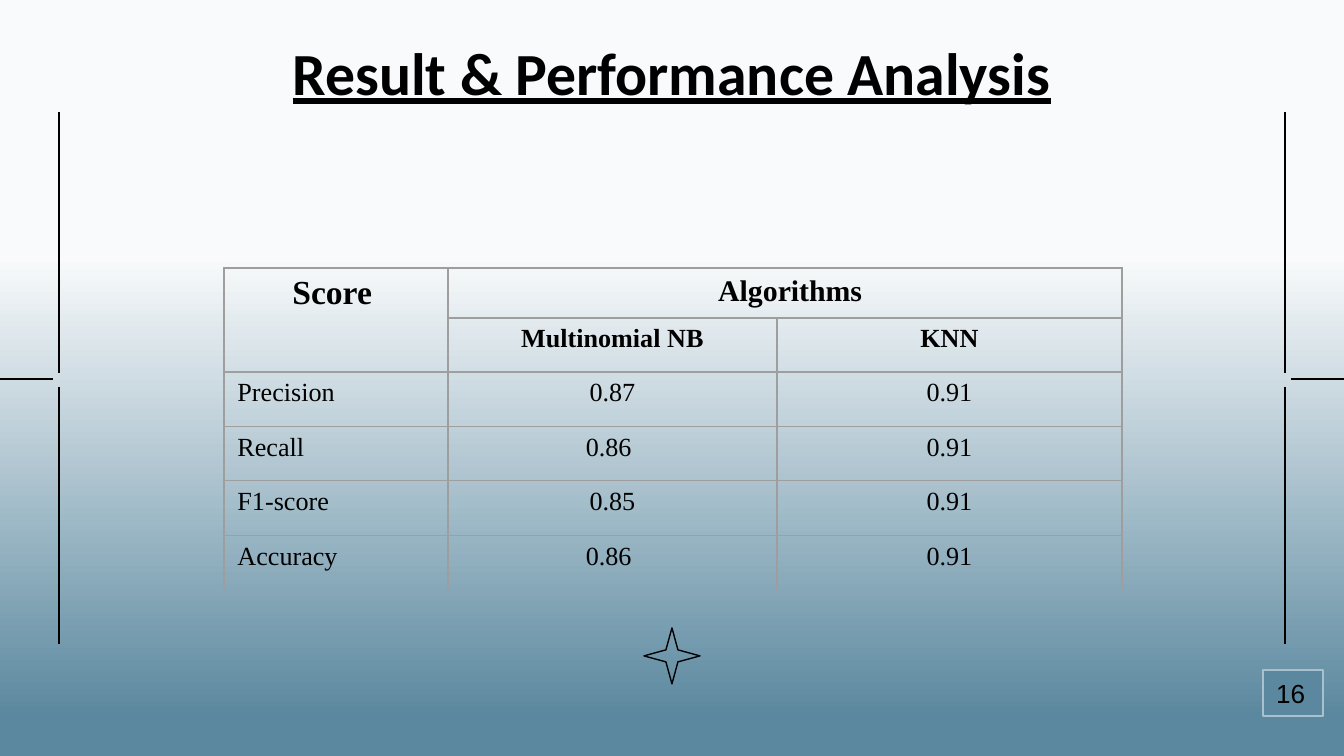
from copy import deepcopy

from lxml.etree import SubElement
from pptx import Presentation
from pptx.dml.color import RGBColor
from pptx.enum.shapes import MSO_CONNECTOR, MSO_SHAPE
from pptx.enum.text import MSO_ANCHOR, PP_ALIGN
from pptx.oxml.ns import qn
from pptx.util import Emu, Pt

EMU_PER_PX = 914400 / 134.4
COLORS = {
    "ink": "000000",
    "teal": "5B889F",
    "mist": "F8FAFB",
    "white": "FBFCFD",
    "box_edge": "A9C1CE",
    "grid": "9E9E9E",
}


def px(length):
    return Emu(round(length * EMU_PER_PX))


def style_run(run, font_name, size, bold=False):
    run.font.name = font_name
    run.font.size = Pt(size)
    run.font.bold = bold
    run.font.color.rgb = RGBColor.from_string(COLORS["ink"])


presentation = Presentation()
presentation.slide_width, presentation.slide_height = px(1344), px(756)
slide = presentation.slides.add_slide(presentation.slide_layouts[5])

# Background gradient, running from the bottom to the top
background = slide.background.fill
background.gradient()
background.gradient_angle = 90
stop_list = slide.element.find(".//" + qn("a:gsLst"))
stop_list.append(deepcopy(stop_list[0]))
gradient = [(0.05, "teal"), (0.66, "mist"), (1, "white")]
for stop, (position, color) in zip(background.gradient_stops, gradient):
    stop.position = position
    stop.color.rgb = RGBColor.from_string(COLORS[color])

# Frame lines, mirrored on the left and right edges
for side_x, tick_start, tick_end in [(1285, 1291, 1344), (59, 0, 53)]:
    for x1, y1, x2, y2 in [
        (side_x, 112, side_x, 373),
        (side_x, 387, side_x, 644),
        (tick_start, 379, tick_end, 379),
    ]:
        line = slide.shapes.add_connector(
            MSO_CONNECTOR.STRAIGHT, px(x1), px(y1), px(x2), px(y2)
        )
        line.line.color.rgb = RGBColor.from_string(COLORS["ink"])
        line.line.width = Pt(0.75)
        SubElement(line.element.spPr, qn("a:effectLst"))

# Title
title = slide.shapes.title
title.left, title.top, title.width, title.height = px(105), px(35), px(1134), px(73)
frame = title.text_frame
frame.margin_left = frame.margin_top = frame.margin_right = frame.margin_bottom = 0
frame.vertical_anchor = MSO_ANCHOR.MIDDLE
frame.text = "Result & Performance Analysis"
frame.paragraphs[0].alignment = PP_ALIGN.CENTER
title_run = frame.paragraphs[0].runs[0]
style_run(title_run, "Calibri", 32, bold=True)
title_run.font.underline = True

# Four-pointed star
center_x, center_y, tip, notch = 672, 656, 28, 6
directions = [
    (0, -tip), (-notch, -notch), (-tip, 0), (-notch, notch),
    (0, tip), (notch, notch), (tip, 0), (notch, -notch),
]
points = [(center_x + dx, center_y + dy) for dx, dy in directions]
builder = slide.shapes.build_freeform(*points[0], scale=EMU_PER_PX)
builder.add_line_segments(points[1:], close=True)
star = builder.convert_to_shape()
star.shadow.inherit = False
star.fill.background()
star.line.color.rgb = RGBColor.from_string(COLORS["ink"])
star.line.width = Pt(0.75)

# Page number
number_box = slide.shapes.add_shape(
    MSO_SHAPE.RECTANGLE, px(1263), px(670), px(60), px(46)
)
number_box.shadow.inherit = False
number_box.fill.solid()
number_box.fill.fore_color.rgb = RGBColor.from_string(COLORS["teal"])
number_box.line.color.rgb = RGBColor.from_string(COLORS["box_edge"])
number_box.line.width = Pt(0.75)
number_box.text_frame.text = "16"
number_box.text_frame.paragraphs[0].alignment = PP_ALIGN.LEFT
style_run(number_box.text_frame.paragraphs[0].runs[0], "Arial", 14)

# Score table
rows = [
    ("Score", "Algorithms", ""),
    ("", "Multinomial NB", "KNN"),
    ("Precision", "0.87", "0.91"),
    ("Recall", "0.86", "0.91"),
    ("F1-score", "0.85", "0.91"),
    ("Accuracy", "0.86", "0.91"),
]
column_widths = [224, 329, 345]
row_heights = [50, 54, 55, 54, 55, 54]
heading_sizes = {"Score": 18, "Algorithms": 16}
table = slide.shapes.add_table(
    len(rows), len(column_widths), px(224), px(268),
    px(sum(column_widths)), px(sum(row_heights)),
).table
table.first_row = table.horz_banding = False
for column, width in zip(table.columns, column_widths):
    column.width = px(width)
for row, height in zip(table.rows, row_heights):
    row.height = px(height)
table.cell(0, 0).merge(table.cell(1, 0))
table.cell(0, 1).merge(table.cell(0, 2))

for row_index, texts in enumerate(rows):
    for column_index, text in enumerate(texts):
        cell = table.cell(row_index, column_index)
        if text:
            cell.text_frame.text = text
            paragraph = cell.text_frame.paragraphs[0]
            is_heading = row_index < 2
            if is_heading or column_index > 0:
                paragraph.alignment = PP_ALIGN.CENTER
            style_run(
                paragraph.runs[0], "Times New Roman",
                heading_sizes.get(text, 14), bold=is_heading,
            )
        if text in ("Score", "0.86"):
            cell.margin_right = px(21)
        if text == "Algorithms":
            cell.margin_left = px(24)
        properties = cell._tc.get_or_add_tcPr()
        for edge in ("a:lnL", "a:lnR", "a:lnT", "a:lnB"):
            border = SubElement(properties, qn(edge), w=str(Pt(0.75)))
            border_fill = SubElement(border, qn("a:solidFill"))
            SubElement(border_fill, qn("a:srgbClr"), val=COLORS["grid"])
        cell.fill.background()

presentation.save("out.pptx")
